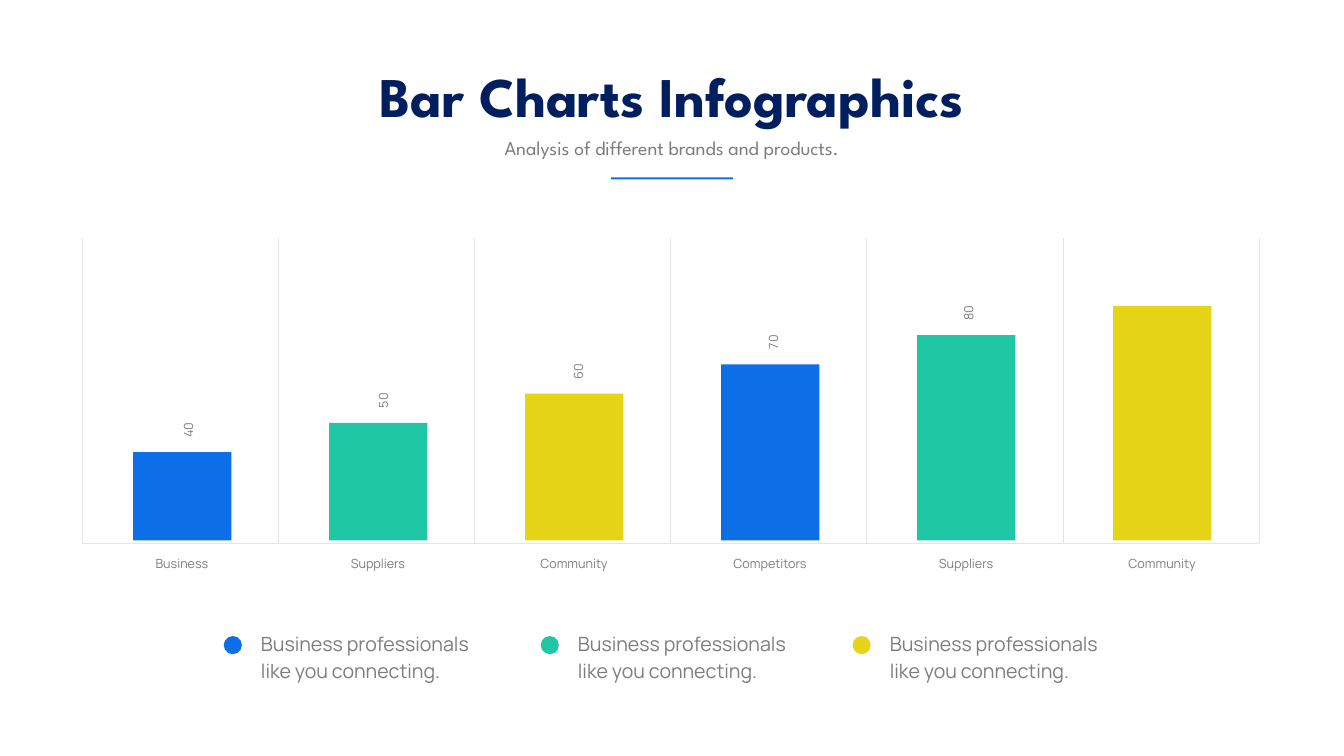
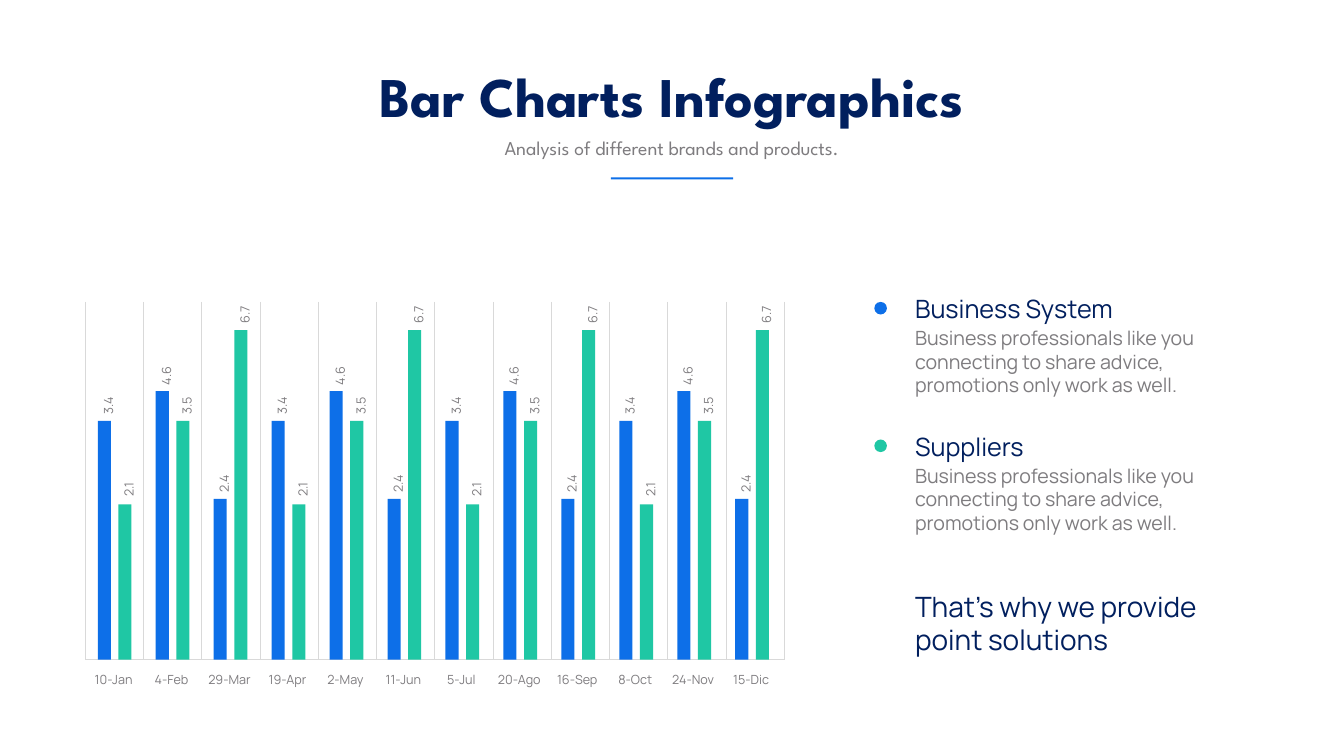
from pptx import Presentation
from pptx.dml.color import RGBColor
from pptx.enum.shapes import MSO_CONNECTOR, MSO_SHAPE
from pptx.enum.text import MSO_ANCHOR, MSO_AUTO_SIZE, PP_ALIGN
from pptx.oxml.ns import qn
from pptx.util import Inches, Pt

BLUE = "0D6FE8"
GREEN = "1FC7A4"
YELLOW = "E5D418"
NAVY = "011F5E"
GRAY = "7E7C7F"
HEADING_FONT = "League Spartan"
BODY_FONT = "Manrope"
TICK_SIZE = 18
TICK_SPACING = 35.6


def color(hex_string):
    return RGBColor.from_string(hex_string)


def format_text(shape, text, size, font_name, text_color, align=PP_ALIGN.LEFT,
                bold=False, wrap=True, line_spacing=None):
    text_frame = shape.text_frame
    text_frame.text = text
    text_frame.word_wrap = wrap
    text_frame.auto_size = MSO_AUTO_SIZE.SHAPE_TO_FIT_TEXT
    text_frame.vertical_anchor = MSO_ANCHOR.TOP
    paragraph = text_frame.paragraphs[0]
    paragraph.alignment = align
    paragraph.space_before = Pt(0)
    if line_spacing:
        paragraph.line_spacing = Pt(line_spacing)
    font = paragraph.runs[0].font
    font.size = Pt(size)
    font.name = font_name
    font.bold = bold
    font.color.rgb = color(text_color)


def place(shape, left, top, width, height):
    shape.left, shape.top = Inches(left), Inches(top)
    shape.width, shape.height = Inches(width), Inches(height)


def add_text(shapes, text, left, top, width, height, size, text_color=GRAY, **options):
    box = shapes.add_textbox(Inches(left), Inches(top), Inches(width), Inches(height))
    format_text(box, text, size, BODY_FONT, text_color, **options)
    return box


def add_filled(shapes, preset, left, top, width, height, fill):
    shape = shapes.add_shape(preset, Inches(left), Inches(top), Inches(width), Inches(height))
    shape.shadow.inherit = False
    shape.fill.solid()
    shape.fill.fore_color.rgb = color(fill)
    shape.line.fill.background()


def add_line(shapes, start, end, line_color, width):
    line = shapes.add_connector(MSO_CONNECTOR.STRAIGHT, Inches(start[0]), Inches(start[1]),
                                Inches(end[0]), Inches(end[1]))
    line.line.color.rgb = color(line_color)
    line.line.width = Pt(width)
    properties = line._element.spPr
    properties.append(properties.makeelement(qn("a:effectLst"), {}))


def add_grid(shapes, left, right, top, bottom, columns, line_color, width):
    step = (right - left) / columns
    for index in range(columns + 1):
        x = left + index * step
        add_line(shapes, (x, top), (x, bottom), line_color, width)
    add_line(shapes, (left, bottom), (right, bottom), line_color, width)


def add_category(shapes, text, left, top, width):
    add_text(shapes, text, left, top, width, 0.56, TICK_SIZE,
             align=PP_ALIGN.CENTER, line_spacing=TICK_SPACING)


def add_value(shapes, text, left, top):
    box = add_text(shapes, text, left, top, 0.84, 0.56, TICK_SIZE,
                   align=PP_ALIGN.CENTER, line_spacing=TICK_SPACING)
    box.rotation = 270


def add_headed_slide(presentation):
    slide = presentation.slides.add_slide(presentation.slide_layouts[0])
    title = slide.shapes.title
    format_text(title, "Bar Charts Infographics", 80, HEADING_FONT, NAVY,
                align=PP_ALIGN.CENTER, bold=True, wrap=False)
    place(title, 6.92, 1.17, 12.82, 1.45)
    subtitle = slide.placeholders[1]
    format_text(subtitle, "Analysis of different brands and products.", 28,
                HEADING_FONT, GRAY, align=PP_ALIGN.CENTER)
    place(subtitle, 8.55, 2.65, 9.56, 0.57)
    add_filled(slide.shapes, MSO_SHAPE.RECTANGLE, 12.12, 3.52, 2.43, 0.04, BLUE)
    return slide


def add_legend(slide):
    shapes = slide.shapes.add_group_shape().shapes
    for left, fill in ((4.44, BLUE), (10.73, GREEN), (16.92, YELLOW)):
        add_filled(shapes, MSO_SHAPE.OVAL, left, 12.62, 0.36, 0.36, fill)
        add_text(shapes, "Business professionals like you connecting.",
                 left + 0.64, 12.42, 4.64, 1.18, 28, line_spacing=38.6)


def add_category_bars(slide):
    shapes = slide.shapes
    baseline = 10.72
    fills = (BLUE, GREEN, YELLOW)
    categories = ("Business", "Suppliers", "Community", "Competitors", "Suppliers", "Community")
    values = (40, 50, 60, 70, 80)
    add_grid(shapes, 1.63, 24.98, 4.73, 10.78, len(categories), "E5E5E5", 0.5)
    for index, category in enumerate(categories):
        left = 2.64 + 3.89 * index
        height = 1.75 + 0.58 * index
        add_filled(shapes, MSO_SHAPE.RECTANGLE, left, baseline - height, 1.95, height,
                   fills[index % len(fills)])
        add_category(shapes, category, left, 10.78, 1.94)
        if index < len(values):
            add_value(shapes, str(values[index]), 3.2 + 3.87 * index, baseline - height - 0.72)


def add_month_bars(slide):
    shapes = slide.shapes
    baseline = 13.09
    dates = ("10-Jan", "4-Feb", "29-Mar", "19-Apr", "2-May", "11-Jun",
             "5-Jul", "20-Ago", "16-Sep", "8-Oct", "24-Nov", "15-Dic")
    value_pairs = (("3.4", "2.1"), ("4.6", "3.5"), ("2.4", "6.7"))
    bar_heights = {"2.1": 3.08, "2.4": 3.19, "3.4": 4.74, "3.5": 4.74, "4.6": 5.33, "6.7": 6.54}
    add_grid(shapes, 1.69, 15.56, 5.99, baseline, len(dates), "D9D9D9", 1)
    for index, date in enumerate(dates):
        offset = 1.15 * index
        add_category(shapes, date, 1.64 + offset, baseline, 1.23)
        pair = value_pairs[index % len(value_pairs)]
        for series, (value, fill) in enumerate(zip(pair, (BLUE, GREEN))):
            left = 1.94 + offset + 0.41 * series
            top = baseline - bar_heights[value]
            add_filled(shapes, MSO_SHAPE.RECTANGLE, left, top, 0.26, bar_heights[value], fill)
            add_value(shapes, value, left - 0.33, top - 0.58)


def add_series_note(slide, heading, top, fill):
    shapes = slide.shapes.add_group_shape().shapes
    add_filled(shapes, MSO_SHAPE.OVAL, 17.35, top + 0.22, 0.25, 0.25, fill)
    add_text(shapes, "Business professionals like you connecting to share advice, "
             "promotions only work as well.", 18.06, top + 0.65, 6.1, 1.51, 28)
    add_text(shapes, heading, 18.06, top, 4.89, 0.71, 36, NAVY)


def main():
    presentation = Presentation()
    presentation.slide_width = Inches(26.67)
    presentation.slide_height = Inches(15)

    category_slide = add_headed_slide(presentation)
    add_category_bars(category_slide)
    add_legend(category_slide)

    month_slide = add_headed_slide(presentation)
    add_month_bars(month_slide)
    add_series_note(month_slide, "Business System", 5.77, BLUE)
    add_series_note(month_slide, "Suppliers", 8.5, GREEN)
    add_text(month_slide.shapes, "That’s why we provide point solutions",
             18.06, 11.64, 7.06, 1.45, 40, NAVY)

    presentation.save("out.pptx")


if __name__ == "__main__":
    main()
